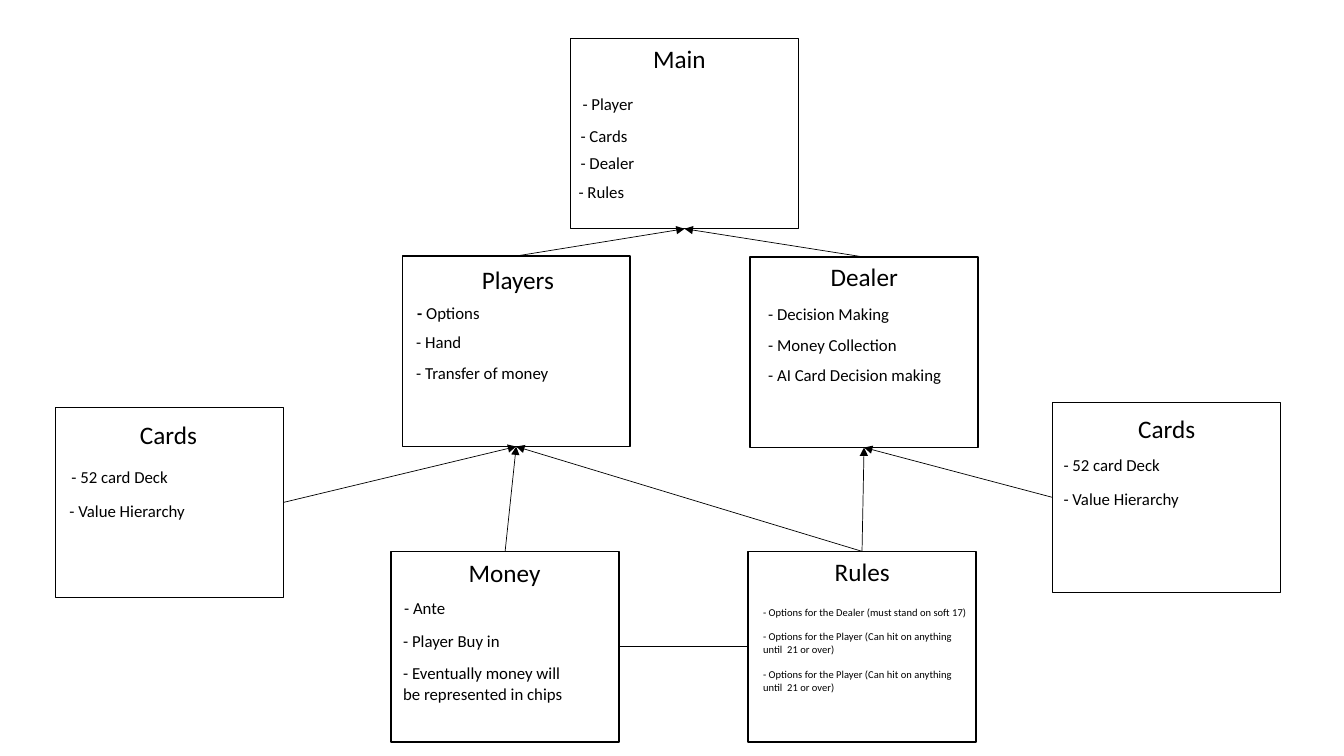
import pptx
import pptx.dml.color
import pptx.enum.shapes
import pptx.enum.text
import pptx.oxml.ns
import pptx.util
from lxml import etree
from pptx.util import Inches

BLACK = pptx.dml.color.RGBColor(0x00, 0x00, 0x00)
FONT = "Calibri"
BOX_W, BOX_H = 2.26, 1.89
TOP, LEFT, BOTTOM, RIGHT = range(4)  # connection sites of a rectangle

# name: (box left, top), (heading, left, top, width), item size, item width,
#       items as (text, left, top)
CLASSES = {
    "main": ((5.66, 0.38), ("Main", 6.38, 0.38, 1.04), 12, 1.84, [
        ("- Player", 5.68, 0.88),
        ("- Cards", 5.66, 1.2),
        ("- Dealer", 5.66, 1.47),
        ("- Rules", 5.64, 1.75)]),
    "players": ((3.99, 2.54), ("Players", 4.68, 2.57, 0.92), 12, 1.84, [
        ("- Options", 4.04, 2.95),
        ("- Hand", 4.03, 3.24),
        ("- Transfer of money", 4.03, 3.55)]),
    "dealer": ((7.44, 2.55), ("Dealer", 8.14, 2.54, 0.88), 12, 2.35, [
        ("- Decision Making", 7.52, 2.96),
        ("- Money Collection", 7.52, 3.27),
        ("- AI Card Decision making", 7.52, 3.57)]),
    "player cards": ((0.55, 4.04), ("Cards", 1.29, 4.11, 0.77), 12, 1.84, [
        ("- 52 card Deck", 0.61, 4.58),
        ("- Value Hierarchy", 0.59, 4.92)]),
    "dealer cards": ((10.44, 3.99), ("Cards", 11.19, 4.05, 0.77), 12, 1.84, [
        ("- 52 card Deck", 10.45, 4.46),
        ("- Value Hierarchy", 10.45, 4.8)]),
    "money": ((3.88, 5.47), ("Money", 4.55, 5.48, 0.92), 12, 1.84, [
        ("- Ante", 3.91, 5.88),
        ("- Player Buy in", 3.9, 6.21),
        ("- Eventually money will be represented in chips", 3.9, 6.53)]),
    "rules": ((7.42, 5.47), ("Rules", 8.18, 5.47, 0.75), 7.5, 2.26, [
        ("- Options for the Dealer (must stand on soft 17)", 7.47, 5.96),
        ("- Options for the Player (Can hit on anything until  21 or over)", 7.47, 6.2),
        ("- Options for the Player (Can hit on anything until  21 or over)", 7.47, 6.58)]),
}

# (from, site), (to, site)
ARROWS = [
    (("players", TOP), ("main", BOTTOM)),
    (("dealer", TOP), ("main", BOTTOM)),
    (("player cards", RIGHT), ("players", BOTTOM)),
    (("money", TOP), ("players", BOTTOM)),
    (("rules", TOP), ("players", BOTTOM)),
    (("rules", TOP), ("dealer", BOTTOM)),
    (("dealer cards", LEFT), ("dealer", BOTTOM)),
]


def add_text(s, text, left, top, width, *, height=0.3, size=12, wrap=True, bold_chars=0):
    """Add a left-aligned text box; the first bold_chars characters are bold."""
    tf = s.shapes.add_textbox(Inches(left), Inches(top), Inches(width), Inches(height)).text_frame
    tf.word_wrap = wrap
    tf.auto_size = pptx.enum.text.MSO_AUTO_SIZE.SHAPE_TO_FIT_TEXT
    p = tf.paragraphs[0]
    for part, bold in ((text[:bold_chars], True), (text[bold_chars:], False)):
        if part:
            r = p.add_run()
            r.text = part
            r.font.name = FONT
            r.font.size = pptx.util.Pt(size)
            r.font.bold = bold
            r.font.color.rgb = BLACK


def add_box(s, left, top):
    sp = s.shapes.add_shape(pptx.enum.shapes.MSO_SHAPE.RECTANGLE,
                            Inches(left), Inches(top), Inches(BOX_W), Inches(BOX_H))
    sp.shadow.inherit = False
    sp.fill.background()
    sp.line.color.rgb = BLACK
    sp.line.width = pptx.util.Pt(1)
    return sp


def add_link(s, start, end, *, width=0.5, arrow=True):
    """Join two (box, site) ends with a straight connector."""
    cx = s.shapes.add_connector(pptx.enum.shapes.MSO_CONNECTOR.STRAIGHT, 0, 0, 0, 0)
    cx.begin_connect(*start)
    cx.end_connect(*end)
    cx.line.color.rgb = BLACK
    cx.line.width = pptx.util.Pt(width)
    qn = pptx.oxml.ns.qn
    if arrow:
        etree.SubElement(cx.line._get_or_add_ln(), qn("a:tailEnd"), type="triangle")
    etree.SubElement(cx._element.spPr, qn("a:effectLst"))


def main():
    prs = pptx.Presentation()
    prs.slide_width, prs.slide_height = Inches(13.33), Inches(7.5)
    s = prs.slides.add_slide(prs.slide_layouts[6])

    # Class boxes with heading and items
    boxes = {}
    for name, (corner, heading, size, width, items) in CLASSES.items():
        boxes[name] = add_box(s, *corner)
        add_text(s, *heading, height=0.4, size=18, wrap=False)
        for text, left, top in items:
            add_text(s, text, left, top, width, size=size,
                     bold_chars=2 if text == "- Options" else 0)

    # Arrows to the classes that use them
    for (source, out_site), (target, in_site) in ARROWS:
        add_link(s, (boxes[source], out_site), (boxes[target], in_site))

    # Plain link between rules and money
    add_link(s, (boxes["rules"], LEFT), (boxes["money"], RIGHT), width=1, arrow=False)

    prs.save("out.pptx")


if __name__ == "__main__":
    main()
